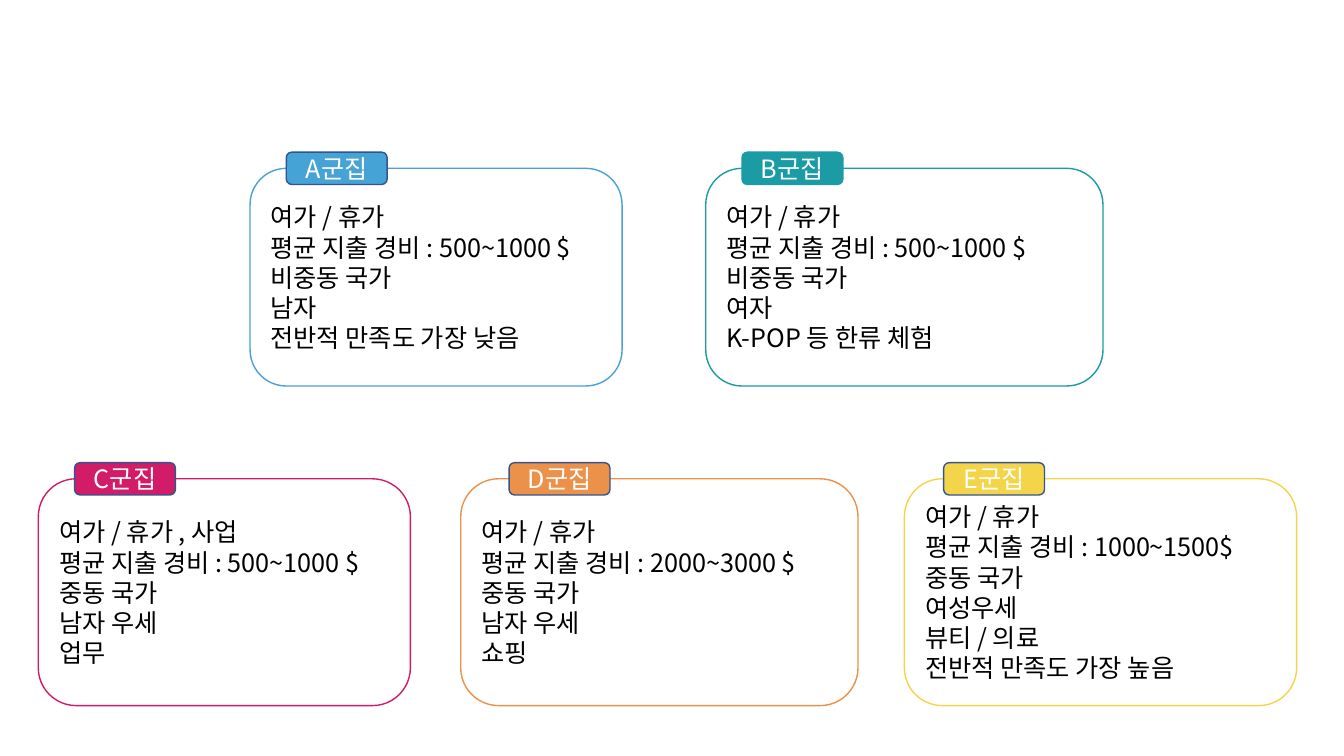
from lxml import etree
from pptx import Presentation, util as u
from pptx.dml.color import RGBColor
from pptx.enum import shapes, text
from pptx.oxml.ns import qn

PX = 9144  # 100 px to the inch
FONT = "Noto Sans CJK KR"

deck = Presentation()
deck.slide_width, deck.slide_height = 1333 * PX, 750 * PX
slide = deck.slides.add_slide(deck.slide_layouts[6])


def color(code):
    return RGBColor.from_string(code)


def box(lines, at, fill, line, ink="000000", align=text.PP_ALIGN.LEFT):
    """Draw a rounded box holding one paragraph per line."""
    shape = slide.shapes.add_shape(
        shapes.MSO_SHAPE.ROUNDED_RECTANGLE, *[n * PX for n in at])
    shape.shadow.inherit = False
    shape.fill.solid()
    shape.fill.fore_color.rgb = color(fill)
    shape.line.color.rgb = color(line)
    shape.line.width = u.Pt(1)
    frame = shape.text_frame
    frame.word_wrap = True
    frame.vertical_anchor = text.MSO_ANCHOR.MIDDLE
    for i, words in enumerate(lines):
        par = frame.add_paragraph() if i else frame.paragraphs[0]
        par.alignment = align
        par.line_spacing = u.Pt(21.6)
        run = par.add_run()
        run.text = words
        run.font.size = u.Pt(18)
        run.font.name = FONT
        run.font.color.rgb = color(ink)
        # Korean glyphs take the East Asian font
        etree.SubElement(run.font._element, qn("a:ea"), typeface=FONT)


# Row of cards: top, height
upper, lower = (167, 216), (475, 225)

# name, row, left, width, tag left, card line, tag fill, tag line, traits
groups = [
    ("A", upper, 248, 369, 284, "4BA0D8", "46A3D5", "325491",
     ["여가 / 휴가", "평균 지출 경비 : 500~1000 $", "비중동 국가", "남자",
      "전반적 만족도 가장 낮음"]),
    ("B", upper, 700, 394, 736, "1B9BA4", "1B9BA4", "1B9BA4",
     ["여가 / 휴가", "평균 지출 경비 : 500~1000 $", "비중동 국가", "여자",
      "K-POP 등 한류 체험"]),
    ("C", lower, 38, 369, 74, "D21C67", "D21C67", "325491",
     ["여가 / 휴가 , 사업", "평균 지출 경비 : 500~1000 $", "중동 국가",
      "남자 우세", "업무"]),
    ("D", lower, 457, 394, 505, "EC914A", "EC914A", "325491",
     ["여가 / 휴가", "평균 지출 경비 : 2000~3000 $", "중동 국가",
      "남자 우세", "쇼핑"]),
    ("E", lower, 897, 389, 936, "F7D34B", "F4D54A", "325491",
     ["여가 / 휴가", "평균 지출 경비 : 1000~1500$", "중동 국가",
      "여성우세", "뷰티 / 의료", "전반적 만족도 가장 높음"]),
]

# Each card carries a name tag across its top edge
for name, (top, high), left, wide, tag, edge, fill, rim, traits in groups:
    box(traits, (left, top, wide, high), fill="FFFFFF", line=edge)
    box([name + "군집"], (tag, top - 16, 100, 32), fill=fill, line=rim,
        ink="FFFFFF", align=text.PP_ALIGN.CENTER)

deck.save("out.pptx")
